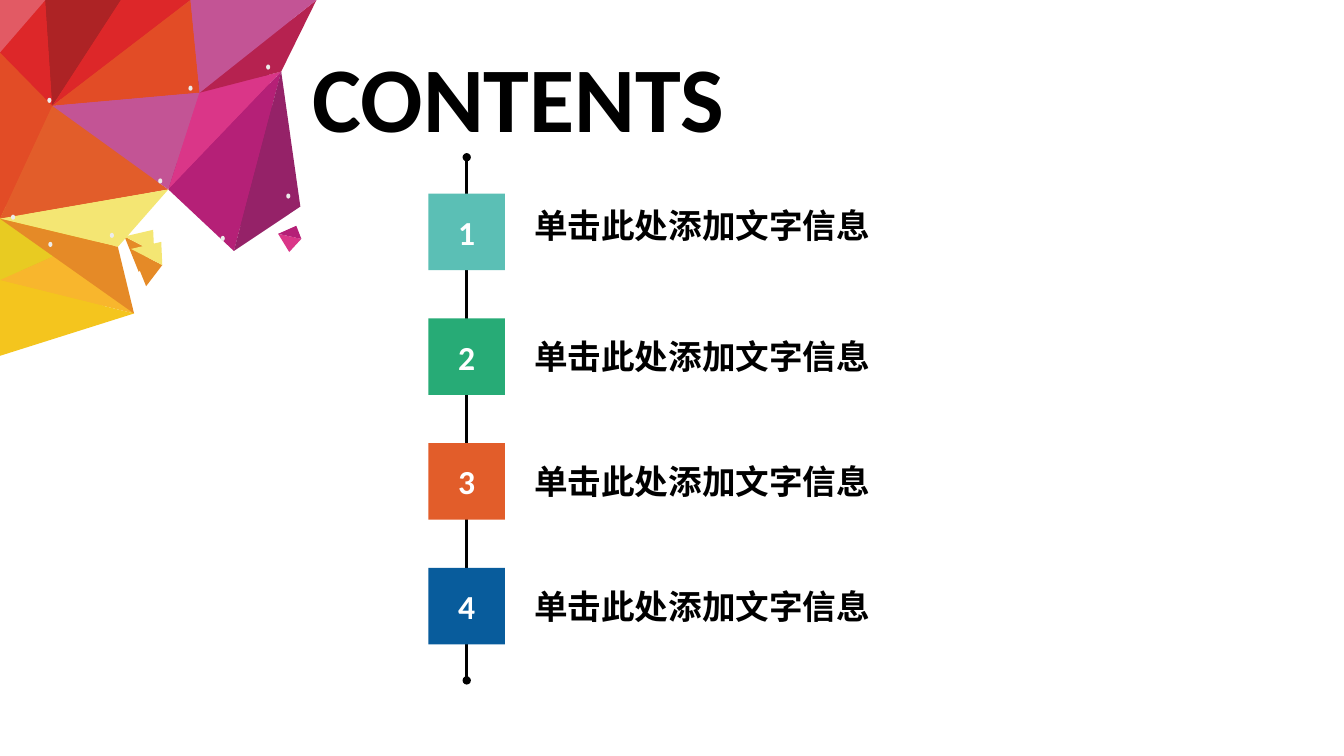
import pptx
import pptx.util
import pptx.dml.color
import pptx.enum.shapes
import pptx.enum.text
import pptx.oxml
import pptx.oxml.ns

CELL = pptx.util.Inches(0.1)  # the slide is a grid of square cells, 75 rows high
COLUMNS, ROWS = 133.33, 75
FONT = "Calibri"

COLORS = {
    "black": "000000", "white": "FFFFFF", "dot": "ECECEB",
    "teal": "5BBFB5", "green": "27AB76", "blue": "085C9C",
    "lime": "E8CB22", "amber": "F8B62D", "dark amber": "E7AC28",
    "gold": "F4C51E", "cream": "F4E673", "ochre": "E58A27",
    "orange": "E25D2A", "vermilion": "E24C26", "red": "DD2729",
    "dark red": "AD2325", "coral": "E25A64", "crimson": "B62250",
    "orchid": "C35495", "pink": "DA3688", "magenta": "B52077",
    "plum": "952268",
}

# Corners of the mosaic as (column, row)
CORNERS = {
    "a": (0, 0), "b": (4.5, 0), "c": (12, 0), "d": (18.9, 0), "e": (31.4, 0),
    "f": (0, 5.2), "g": (5.2, 10.5), "h": (19.8, 9.2), "i": (27.9, 7.1),
    "j": (16.7, 18.8), "k": (23.2, 24.9), "l": (29.8, 20.5),
    "m": (0, 21.7), "n": (11.7, 24.5), "o": (9.4, 23.6), "p": (0, 27.8),
    "q": (13.3, 31.1), "r": (0, 35.3),
    "s": (13, 24.7), "t": (16, 24), "u": (16.1, 26.3), "v": (14.5, 28.4),
    "w": (27.6, 23.2), "x": (29.4, 22.4), "y": (29.9, 23.7), "z": (28.7, 25),
}
FACETS = [
    ("mpo", "lime"), ("pqo", "amber"), ("fmg", "vermilion"), ("mjg", "orange"),
    ("gbf", "red"), ("gcb", "dark red"), ("gdc", "red"), ("dhg", "vermilion"),
    ("jgh", "orchid"), ("jih", "pink"), ("jki", "magenta"), ("kli", "plum"),
    ("hei", "crimson"), ("deh", "orchid"), ("vsu", "ochre"), ("stu", "cream"),
    ("baf", "coral"), ("jnm", "cream"), ("nqm", "ochre"), ("prq", "gold"),
]
SHARD = [("zwy", "pink"), ("wxy", "magenta")]
UNDERLAY_SCALE = 0.95
DOTS = [(26.4, 6.4), (18.7, 8.5), (15.7, 17.7), (4.7, 9.7), (4.8, 24),
        (1.1, 21.3), (10.9, 23.1), (21.9, 23.4), (28.4, 19.2)]

# Box colour, label and label row of each entry
ENTRIES = [
    ("teal", "单击此处添加文字信息", 19.8),
    ("green", "单击此处添加文字信息", 32.8),
    ("orange", "单击此处添加文字信息", 45.2),
    ("blue", "单击此处添加文字信息", 57.6),
]
BOX_LEFT, BOX_TOP, BOX_SIZE, BOX_STEP = 42.5, 19.2, 7.6, 12.38


def grid(*cells):
    return [round(n * CELL) for n in cells]


def rgb(color):
    return pptx.dml.color.RGBColor.from_string(COLORS[color])


def paint(sp, color):
    sp.fill.solid()
    sp.fill.fore_color.rgb = rgb(color)
    sp.line.fill.background()
    sp.shadow.inherit = False


def write(sp, text, size=24, color="black", align="LEFT", anchor="TOP"):
    tf = sp.text_frame
    tf.word_wrap = True
    tf.vertical_anchor = getattr(pptx.enum.text.MSO_ANCHOR, anchor)
    p = tf.paragraphs[0]
    p.alignment = getattr(pptx.enum.text.PP_ALIGN, align)
    r = p.add_run()
    r.text = text
    r.font.name = FONT
    r.font.size = pptx.util.Pt(size)
    r.font.bold = True
    r.font.color.rgb = rgb(color)


def add_text(s, text, left, top, width, height, **style):
    sp = s.shapes.add_textbox(*grid(left, top, width, height))
    write(sp, text, **style)
    sp.text_frame.auto_size = pptx.enum.text.MSO_AUTO_SIZE.SHAPE_TO_FIT_TEXT


def add_shape(parent, kind, color, left, top, width, height):
    preset = getattr(pptx.enum.shapes.MSO_SHAPE, kind)
    sp = parent.shapes.add_shape(preset, *grid(left, top, width, height))
    paint(sp, color)
    return sp


def add_facet(parent, corners, color, scale=1):
    first, *rest = [grid(*(n * scale for n in CORNERS[name])) for name in corners]
    builder = parent.shapes.build_freeform(*first)
    builder.add_line_segments(rest, close=True)
    paint(builder.convert_to_shape(), color)


def add_mosaic(s):
    """Faceted corner: a slightly smaller underlay, the facets, a shard and dots."""
    group = s.shapes.add_group_shape()
    for corners, color in FACETS:
        under = "dark amber" if color == "amber" else color
        add_facet(group, corners, under, UNDERLAY_SCALE)
    for corners, color in FACETS + SHARD:
        add_facet(group, corners, color)
    for left, top in DOTS:
        add_shape(group, "OVAL", "dot", left, top, 0.4, 0.5)


def add_spine(s, x, top, bottom):
    """Vertical line with a round head at both ends."""
    straight = pptx.enum.shapes.MSO_CONNECTOR.STRAIGHT
    line = s.shapes.add_connector(straight, *grid(x, top, x, bottom))
    line.line.color.rgb = rgb("black")
    line.line.width = pptx.util.Pt(1.75)
    ln = line.line._get_or_add_ln()
    qn = pptx.oxml.ns.qn
    for end in ("a:headEnd", "a:tailEnd"):
        ln.append(ln.makeelement(qn(end), {"type": "oval"}))
    sp_pr = ln.getparent()
    sp_pr.append(sp_pr.makeelement(qn("a:effectLst"), {}))


def add_entry(s, index, color, label, label_row):
    add_text(s, label, 52, label_row, 43.8, 5.1)
    box = add_shape(s, "RECTANGLE", color, BOX_LEFT, BOX_TOP + index * BOX_STEP,
                    BOX_SIZE, BOX_SIZE)
    write(box, str(index + 1), color="white", align="CENTER", anchor="MIDDLE")


def main():
    prs = pptx.Presentation()
    prs.slide_width, prs.slide_height = grid(COLUMNS, ROWS)
    s = prs.slides.add_slide(prs.slide_layouts[6])
    add_mosaic(s)
    add_text(s, "CONTENTS", 30, 3.5, 63.8, 12.1, size=66)
    add_spine(s, BOX_LEFT + BOX_SIZE / 2, 15.6, 67.5)
    for index, entry in enumerate(ENTRIES):
        add_entry(s, index, *entry)
    prs.save("out.pptx")


if __name__ == "__main__":
    main()
